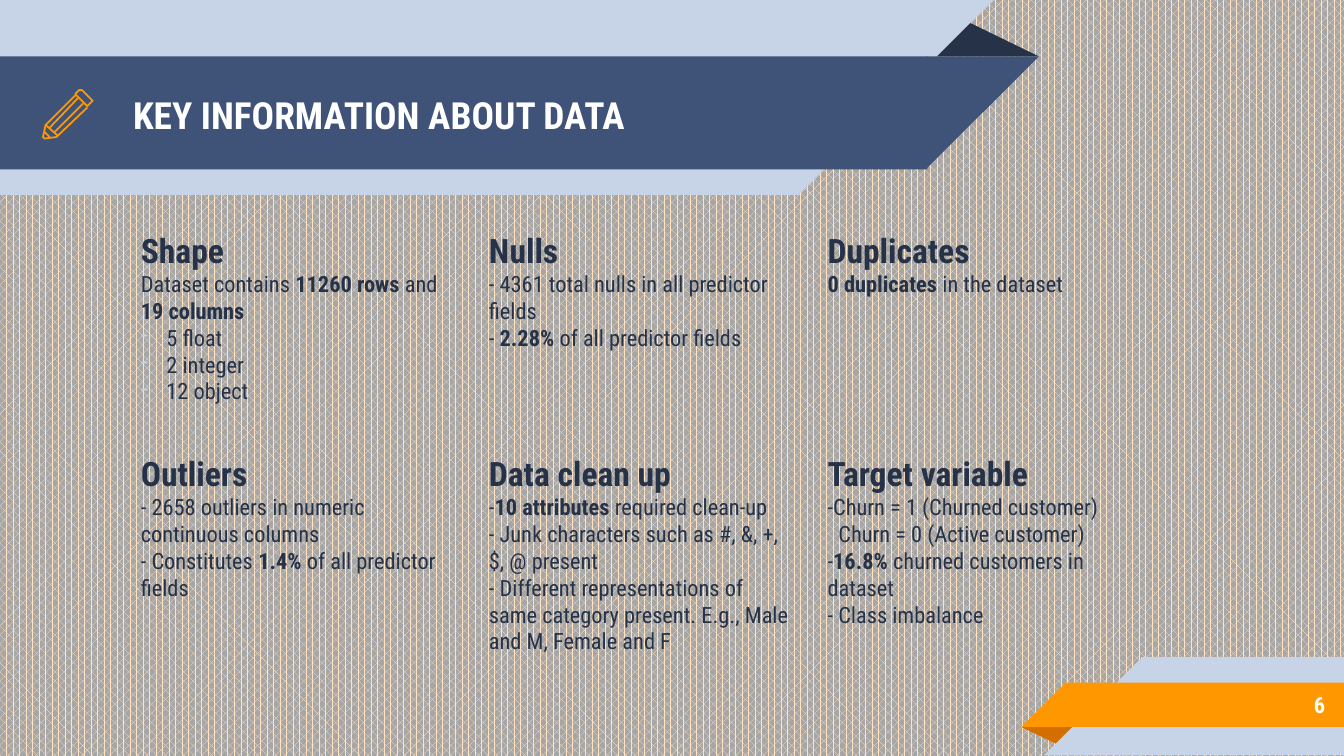
from dataclasses import dataclass
from typing import NamedTuple

from lxml import etree
from pptx import Presentation, util as u
from pptx.dml.color import RGBColor
from pptx.enum import dml, shapes, text
from pptx.oxml.ns import qn


@dataclass(frozen=True)
class Theme:
    font: str = "Roboto Condensed"
    navy: str = "263248"
    blue: str = "3F5378"
    pale: str = "C7D3E6"
    orange: str = "FF9800"
    rust: str = "D26F00"
    white: str = "FFFFFF"
    cream: str = "FFE3C3"
    gray: str = "A6A6A6"
    title_size: int = 20
    heading_size: int = 18
    body_size: int = 12
    icon_line: float = 0.96


class Block(NamedTuple):
    kind: str
    left: float
    top: float
    width: float
    height: float
    color: str
    flip: str = ""
    rotation: int = 0


class Line(NamedTuple):
    """One paragraph; pieces between ** marks are bold."""
    words: str
    bullet: bool = False
    indent: float = 0


class Card(NamedTuple):
    heading: str
    lines: list[Line]


THEME = Theme()
SLIDE_WIDTH = u.Inches(10)
SLIDE_HEIGHT = SLIDE_WIDTH * 9 // 16
INSET = 0.1
CARD_LEFTS = (0.95, 3.54, 6.06)
CARD_TOP, CARD_WIDTH, CARD_HEIGHT = 1.61, 2.46, 1.66
KINDS = {
    "rect": shapes.MSO_SHAPE.RECTANGLE,
    "corner": shapes.MSO_SHAPE.RIGHT_TRIANGLE,
    "fold": shapes.MSO_SHAPE.ISOSCELES_TRIANGLE,
}

# Rectangles reach 0.01 under their corners so that no seam shows
HEADER = [
    Block("fold", 6.88, 0.14, 0.85, 0.28, THEME.navy),
    Block("rect", 0, 0, 5.95, 1.45, THEME.pale),
    Block("corner", 5.94, 0, 1.45, 1.45, THEME.pale, "flipV"),
    Block("rect", 0, 0.42, 6.9, 0.84, THEME.blue),
    Block("corner", 6.89, 0.42, 0.84, 0.84, THEME.blue, "flipV"),
]
FOOTER = [
    Block("fold", 7.6, 5.41, 0.43, 0.14, THEME.rust, rotation=180),
    Block("rect", 8.49, 4.89, 1.51, 0.73, THEME.pale),
    Block("corner", 7.77, 4.89, 0.73, 0.73, THEME.pale, "flipH"),
    Block("rect", 7.92, 5.08, 2.08, 0.33, THEME.orange),
    Block("corner", 7.6, 5.08, 0.33, 0.33, THEME.orange, "flipH"),
]

# Pencil points are in hundredths of an inch
PENCIL_END = [(68, 74), (61, 67), (60, 67), (59, 67), (56, 70), (65, 79),
              (68, 76), (69, 75)]
PENCIL_BODY = [(56, 71), (34, 93), (32, 102), (33, 103), (34, 103),
               (42, 102), (43, 101), (65, 80)]
PENCIL_COLLAR = [(34, 93), (43, 101), (42, 101)]
PENCIL_LINES = [((62, 77), (40, 99)), ((37, 95), (58, 73)), ((37, 102), (33, 98))]

CARDS = [
    Card("Shape", [
        Line("Dataset contains **11260 rows** and **19 columns**"),
        Line("5 float", bullet=True),
        Line("2 integer", bullet=True),
        Line("12 object", bullet=True)]),
    Card("Nulls", [
        Line("- 4361 total nulls in all predictor fields"),
        Line("- **2.28%** of all predictor fields")]),
    Card("Duplicates", [Line("**0 duplicates** in the dataset")]),
    Card("Outliers", [
        Line("- 2658 outliers in numeric continuous columns"),
        Line("- Constitutes **1.4%** of all predictor fields")]),
    Card("Data clean up", [
        Line("-**10 attributes** required clean-up"),
        Line("- Junk characters such as #, &, +, $, @ present"),
        Line("- Different representations of same category present. "
             "E.g., Male and M, Female and F")]),
    Card("Target variable", [
        Line("-Churn = 1 (Churned customer)"),
        Line("Churn = 0 (Active customer)", indent=0.08),
        Line("-**16.8% **churned customers in dataset"),
        Line("- Class imbalance")]),
]


def rgb(color: str) -> RGBColor:
    return RGBColor.from_string(color)


def draw_block(page, block: Block) -> None:
    shape = page.shapes.add_shape(KINDS[block.kind], *map(u.Inches, block[1:5]))
    shape.shadow.inherit = False
    shape.fill.solid()
    shape.fill.fore_color.rgb = rgb(block.color)
    shape.line.fill.background()
    shape.rotation = block.rotation
    if block.kind == "fold":
        shape.adjustments[0] = 0.324
    if block.flip:
        shape._element.spPr.find(qn("a:xfrm")).set(block.flip, "1")


def style_outline(shape) -> None:
    shape.line.color.rgb = rgb(THEME.orange)
    shape.line.width = u.Pt(THEME.icon_line)


def draw_outline(page, points: list[tuple[int, int]], close: bool = False) -> None:
    builder = page.shapes.build_freeform(*points[0], scale=u.Inches(0.01))
    builder.add_line_segments(points[1:], close=close)
    shape = builder.convert_to_shape()
    shape.shadow.inherit = False
    shape.fill.background()
    style_outline(shape)


def draw_stroke(page, start: tuple[int, int], end: tuple[int, int]) -> None:
    ends = [u.Inches(value / 100) for value in start + end]
    stroke = page.shapes.add_connector(shapes.MSO_CONNECTOR.STRAIGHT, *ends)
    style_outline(stroke)
    etree.SubElement(stroke._element.spPr, qn("a:effectLst"))


def set_frame(frame, anchor) -> None:
    frame.word_wrap = True
    frame.auto_size = text.MSO_AUTO_SIZE.NONE
    frame.vertical_anchor = anchor
    frame.margin_left = frame.margin_right = u.Inches(INSET)
    frame.margin_top = frame.margin_bottom = u.Inches(INSET)


def style_span(span, size: int, color: str, bold: bool) -> None:
    span.font.name = THEME.font
    span.font.size = u.Pt(size)
    span.font.bold = bold
    span.font.color.rgb = rgb(color)


def set_label(frame, words: str, size: int, align) -> None:
    set_frame(frame, text.MSO_ANCHOR.MIDDLE)
    frame.text = words
    para = frame.paragraphs[0]
    para.alignment = align
    style_span(para.runs[0], size, THEME.white, True)


def add_bullet(para) -> None:
    props = para._p.get_or_add_pPr()
    props.set("marL", str(u.Inches(0.19)))
    props.set("indent", str(-u.Inches(0.19)))
    color = etree.SubElement(props, qn("a:buClr"))
    etree.SubElement(color, qn("a:srgbClr"), val=THEME.pale)
    etree.SubElement(props, qn("a:buChar"), char="-")


def draw_card(page, card: Card, left: float, top: float) -> None:
    box = page.shapes.add_textbox(*map(u.Inches, (left, top, CARD_WIDTH, CARD_HEIGHT)))
    frame = box.text_frame
    set_frame(frame, text.MSO_ANCHOR.TOP)
    frame.text = card.heading
    heading = frame.paragraphs[0]
    heading.space_before = u.Pt(6)
    style_span(heading.runs[0], THEME.heading_size, THEME.navy, True)
    for line in card.lines:
        para = frame.add_paragraph()
        if line.bullet:
            add_bullet(para)
        elif line.indent:
            para._p.get_or_add_pPr().set("marL", str(u.Inches(line.indent)))
        for index, piece in enumerate(line.words.split("**")):
            if piece:
                span = para.add_run()
                span.text = piece
                style_span(span, THEME.body_size, THEME.navy, index % 2 == 1)


def main() -> None:
    deck = Presentation()
    deck.slide_width, deck.slide_height = SLIDE_WIDTH, SLIDE_HEIGHT
    page = deck.slides.add_slide(deck.slide_layouts[5])

    # Patterned background
    fill = page.background.fill
    fill.patterned()
    fill.pattern = dml.MSO_PATTERN.PERCENT_70
    fill.fore_color.rgb = rgb(THEME.cream)
    fill.back_color.rgb = rgb(THEME.gray)

    # Folded ribbons
    for block in HEADER + FOOTER:
        draw_block(page, block)

    # Title, raised above the ribbon
    title = page.shapes.title
    title.left, title.top, title.width, title.height = map(
        u.Inches, (0.89, 0.43, 5.75, 0.84))
    set_label(title.text_frame, "KEY INFORMATION ABOUT DATA",
              THEME.title_size, text.PP_ALIGN.LEFT)
    page.shapes._spTree.append(title._element)

    # Two rows of three cards
    for index, card in enumerate(CARDS):
        row, column = divmod(index, len(CARD_LEFTS))
        draw_card(page, card, CARD_LEFTS[column], CARD_TOP + row * CARD_HEIGHT)

    # Page number
    number = page.shapes.add_textbox(*map(u.Inches, (8.33, 5.07, 1.63, 0.35)))
    set_label(number.text_frame, "6", THEME.body_size, text.PP_ALIGN.RIGHT)

    # Pencil icon
    draw_outline(page, PENCIL_END, close=True)
    draw_outline(page, PENCIL_BODY)
    draw_outline(page, PENCIL_COLLAR)
    for start, end in PENCIL_LINES:
        draw_stroke(page, start, end)

    deck.save("out.pptx")


if __name__ == "__main__":
    main()
